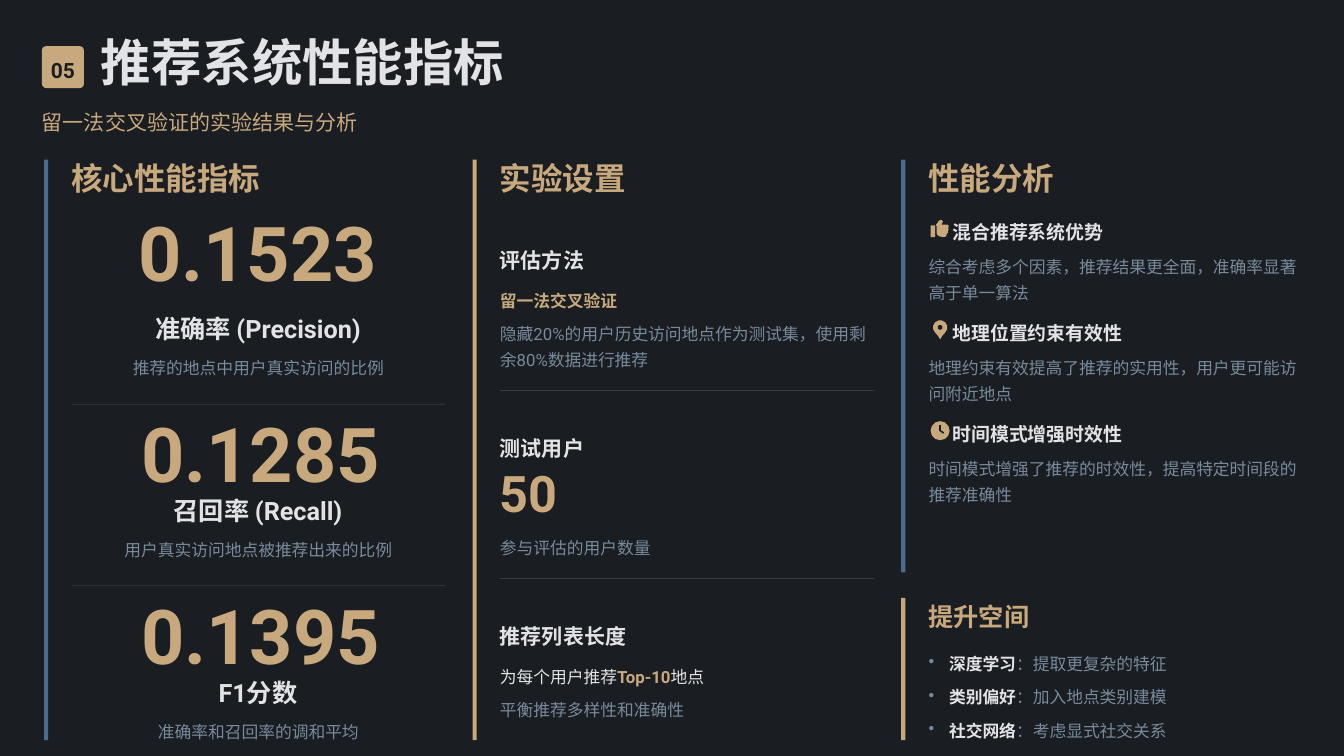
import pptx
import pptx.dml.color
import pptx.enum.shapes
import pptx.enum.text
import pptx.oxml.ns
import pptx.oxml.xmlchemy
import pptx.util

COLORS = {"bg": "1A1D21", "gold": "C8A97E", "light": "E1E3E6", "gray": "788A9C", "blue": "4A6D8C"}
FONT = "Roboto"
Cm = pptx.util.Cm
SHAPES = pptx.enum.shapes.MSO_SHAPE
ALIGN = pptx.enum.text.PP_ALIGN

NUMBER, TITLE = "05", "推荐系统性能指标"
SUBTITLE = "留一法交叉验证的实验结果与分析"
HEADINGS = ["核心性能指标", "实验设置", "性能分析"]
# value, label, caption, left and top of the value
METRICS = [
    ("0.1523", "准确率 (Precision)", "推荐的地点中用户真实访问的比例", 1.75, 7.47),
    ("0.1285", "召回率 (Recall)", "用户真实访问地点被推荐出来的比例", 1.85, 14.22),
    ("0.1395", "F1分数", "准确率和召回率的调和平均", 1.85, 20.32),
]
# title, then lines: offset below the title, height, size, line spacing, runs
SETTINGS = [
    ("评估方法", [
        (1.47, 0.76, 16, 1.3, [("留一法交叉验证", "gold", True)]),
        (2.54, 1.7, 16, 1.3, [("隐藏20%的用户历史访问地点作为测试集，使用剩余80%数据进行推荐", "gray", False)]),
    ]),
    ("测试用户", [
        (1.42, 1.7, 48, 0.8, [("50", "gold", True)]),
        (3.4, 0.84, 16, 1.3, [("参与评估的用户数量", "gray", False)]),
    ]),
    ("推荐列表长度", [
        (1.42, 0.84, 16, 1.3, [("为每个用户推荐", "light", False), ("Top-10", "gold", True),
                               ("地点", "light", False)]),
        (2.54, 0.84, 16, 1.3, [("平衡推荐多样性和准确性", "gray", False)]),
    ]),
]
ANALYSIS = [
    ("混合推荐系统优势", "综合考虑多个因素，推荐结果更全面，准确率显著高于单一算法"),
    ("地理位置约束有效性", "地理约束有效提高了推荐的实用性，用户更可能访问附近地点"),
    ("时间模式增强时效性", "时间模式增强了推荐的时效性，提高特定时间段的推荐准确性"),
]
IMPROVEMENT_HEADING = "提升空间"
IMPROVEMENTS = [("深度学习", "：提取更复杂的特征"), ("类别偏好", "：加入地点类别建模"),
                ("社交网络", "：考虑显式社交关系")]
# Outline of the raised thumb, in hundredths of a cm from the icon corner
THUMB = [(17, 20), (28, 5), (32, 2), (38, 3), (41, 7), (40, 11), (36, 18), (56, 18), (61, 21),
         (61, 26), (58, 29), (61, 34), (58, 40), (58, 45), (54, 50), (53, 56), (48, 59),
         (38, 59), (29, 57), (23, 53), (20, 47), (20, 22)]

COLUMN_LEFT, COLUMN_PITCH, TEXT_INDENT = 1.48, 14.4, 0.92
TOP, BOTTOM, BODY_WIDTH, RULE_WIDTH = 5.36, 24.87, 12.85, 12.56
METRIC_PITCH, SETTING_PITCH, ANALYSIS_PITCH = 6.1, 6.32, 3.39


def rgb(name):
    return pptx.dml.color.RGBColor.from_string(COLORS[name])


def new_element(tag):
    return pptx.oxml.xmlchemy.OxmlElement(tag)


def add_filled(kind, left, top, width, height, color):
    shape = slide.shapes.add_shape(kind, Cm(left), Cm(top), Cm(width), Cm(height))
    return paint(shape, color)


def paint(shape, color):
    shape.shadow.inherit = False
    shape.fill.solid()
    shape.fill.fore_color.rgb = rgb(color)
    shape.line.fill.background()
    return shape


def add_line(x1, y1, x2, y2, color, points, opacity=100):
    line = slide.shapes.add_connector(pptx.enum.shapes.MSO_CONNECTOR.STRAIGHT,
                                      Cm(x1), Cm(y1), Cm(x2), Cm(y2))
    line.line.color.rgb = rgb(color)
    line.line.width = pptx.util.Pt(points)
    properties = line._element.spPr
    if opacity < 100:
        alpha = new_element("a:alpha")
        alpha.set("val", str(opacity * 1000))
        properties.find(".//" + pptx.oxml.ns.qn("a:srgbClr")).append(alpha)
    properties.append(new_element("a:effectLst"))


def write_runs(paragraph, runs, size, spacing):
    paragraph.line_spacing = spacing
    for text, color, bold in runs:
        run = paragraph.add_run()
        run.text = text
        run.font.name = FONT
        run.font.size = pptx.util.Pt(size)
        run.font.bold = bold
        run.font.color.rgb = rgb(color)


def prepare_frame(frame):
    frame.margin_left = frame.margin_right = frame.margin_top = frame.margin_bottom = 0
    frame.vertical_anchor = pptx.enum.text.MSO_ANCHOR.MIDDLE
    frame.word_wrap = True
    return frame


def add_box(left, top, width, height):
    box = slide.shapes.add_textbox(Cm(left), Cm(top), Cm(width), Cm(height))
    return prepare_frame(box.text_frame)


def add_text(left, top, width, height, runs, size, spacing=1.0, align=ALIGN.LEFT):
    paragraph = add_box(left, top, width, height).paragraphs[0]
    paragraph.alignment = align
    write_runs(paragraph, runs, size, spacing)


def add_bullet(paragraph, color, indent):
    properties = paragraph._p.get_or_add_pPr()
    properties.set("marL", str(Cm(indent)))
    properties.set("indent", str(-Cm(indent)))
    bullet_color = new_element("a:buClr")
    value = new_element("a:srgbClr")
    value.set("val", COLORS[color])
    bullet_color.append(value)
    bullet = new_element("a:buChar")
    bullet.set("char", "•")
    properties.extend([bullet_color, bullet])


def draw_thumb(left, top):
    add_filled(SHAPES.ROUNDED_RECTANGLE, left, top + 0.2, 0.15, 0.4, "gold")
    points = [(Cm(left + x / 100), Cm(top + y / 100)) for x, y in THUMB]
    builder = slide.shapes.build_freeform(*points[0])
    builder.add_line_segments(points[1:], close=True)
    paint(builder.convert_to_shape(), "gold")


def draw_pin(left, top):
    pin = add_filled(SHAPES.TEAR, left + 0.08, top, 0.48, 0.48, "gold")
    pin.adjustments[0] = 1.18
    pin.rotation = 135
    add_filled(SHAPES.OVAL, left + 0.24, top + 0.16, 0.16, 0.16, "bg")


def draw_clock(left, top):
    add_filled(SHAPES.OVAL, left, top, 0.64, 0.64, "gold")
    add_line(left + 0.32, top + 0.14, left + 0.32, top + 0.33, "bg", 1.5)
    add_line(left + 0.32, top + 0.32, left + 0.44, top + 0.4, "bg", 1.5)


deck = pptx.Presentation()
deck.slide_width, deck.slide_height = Cm(45.16), Cm(25.4)
slide = deck.slides.add_slide(deck.slide_layouts[6])
slide.background.fill.solid()
slide.background.fill.fore_color.rgb = rgb("bg")

badge = add_filled(SHAPES.ROUNDED_RECTANGLE, 1.41, 1.55, 1.41, 1.41, "gold")
badge.adjustments[0] = 0.1
number = prepare_frame(badge.text_frame).paragraphs[0]
number.alignment = ALIGN.CENTER
write_runs(number, [(NUMBER, "bg", True)], 20, 1.2)
add_text(3.39, 1.41, 14.4, 1.7, [(TITLE, "light", True)], 48, 0.8)
add_text(1.41, 3.53, 42.7, 0.99, [(SUBTITLE, "gold", False)], 20, 1.2)

bars = [COLUMN_LEFT + i * COLUMN_PITCH for i in range(len(HEADINGS))]
metric_left, setting_left, analysis_left = [bar + TEXT_INDENT for bar in bars]
for bar, heading, color, bottom in zip(bars, HEADINGS, ["blue", "gold", "blue"],
                                       [BOTTOM, BOTTOM, 19.23]):
    add_filled(SHAPES.RECTANGLE, bar, TOP, 0.14, bottom - TOP, color)
    add_text(bar + TEXT_INDENT, TOP, 13.08, 1.27, [(heading, "gold", True)], 30)

for i, (value, label, caption, value_left, value_top) in enumerate(METRICS):
    shift = i * METRIC_PITCH
    add_text(value_left, value_top, 13.82, 2.54, [(value, "gold", True)], 72, 0.8, ALIGN.CENTER)
    add_text(2.18, 10.44 + shift, 12.98, 1.12, [(label, "light", True)], 24, 1.1, ALIGN.CENTER)
    add_text(2.26, 11.85 + shift, BODY_WIDTH, 0.84, [(caption, "gray", False)], 16, 1.3,
             ALIGN.CENTER)

for i, (title, lines) in enumerate(SETTINGS):
    top = 8.15 + i * SETTING_PITCH
    add_text(setting_left, top, 12.9, 0.99, [(title, "light", True)], 20, 1.2)
    for offset, height, size, spacing, runs in lines:
        add_text(setting_left, top + offset, BODY_WIDTH, height, runs, size, spacing)

for left, first, pitch in [(metric_left, 13.58, METRIC_PITCH), (setting_left, 13.12, SETTING_PITCH)]:
    for y in (first, first + pitch):
        add_line(left, y, left + RULE_WIDTH, y, "gray", 0.75, opacity=30)

for i, ((title, detail), draw_icon) in enumerate(zip(ANALYSIS, [draw_thumb, draw_pin, draw_clock])):
    top = 7.19 + i * ANALYSIS_PITCH
    draw_icon(analysis_left + 0.07, top + 0.18)
    add_text(analysis_left + 0.8, top, 12.07, 0.99, [(title, "light", True)], 18, 1.3)
    add_text(analysis_left, top + 1.27, BODY_WIDTH, 1.7, [(detail, "gray", False)], 16, 1.3)

add_filled(SHAPES.RECTANGLE, bars[2], 20.09, 0.14, BOTTOM - 20.09, "gold")
add_text(analysis_left, 20.09, 12.98, 1.12, [(IMPROVEMENT_HEADING, "gold", True)], 24, 1.1)
improvement_frame = add_box(analysis_left, 21.77, BODY_WIDTH, 3.1)
for i, (topic, detail) in enumerate(IMPROVEMENTS):
    item = improvement_frame.add_paragraph() if i else improvement_frame.paragraphs[0]
    add_bullet(item, "gray", 0.69)
    if i:
        item.space_before = pptx.util.Pt(7.2)
    write_runs(item, [(topic, "light", True), (detail, "gray", False)], 16, 1.3)

deck.save("out.pptx")
